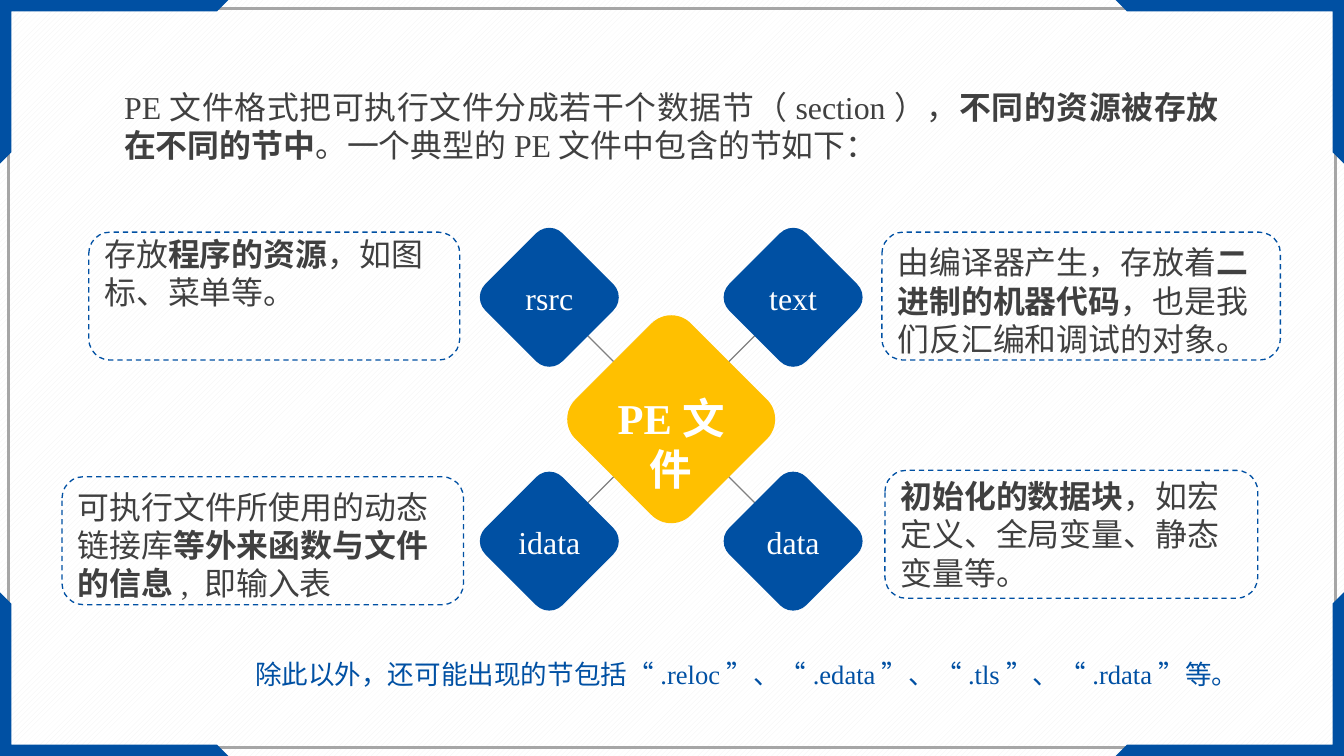
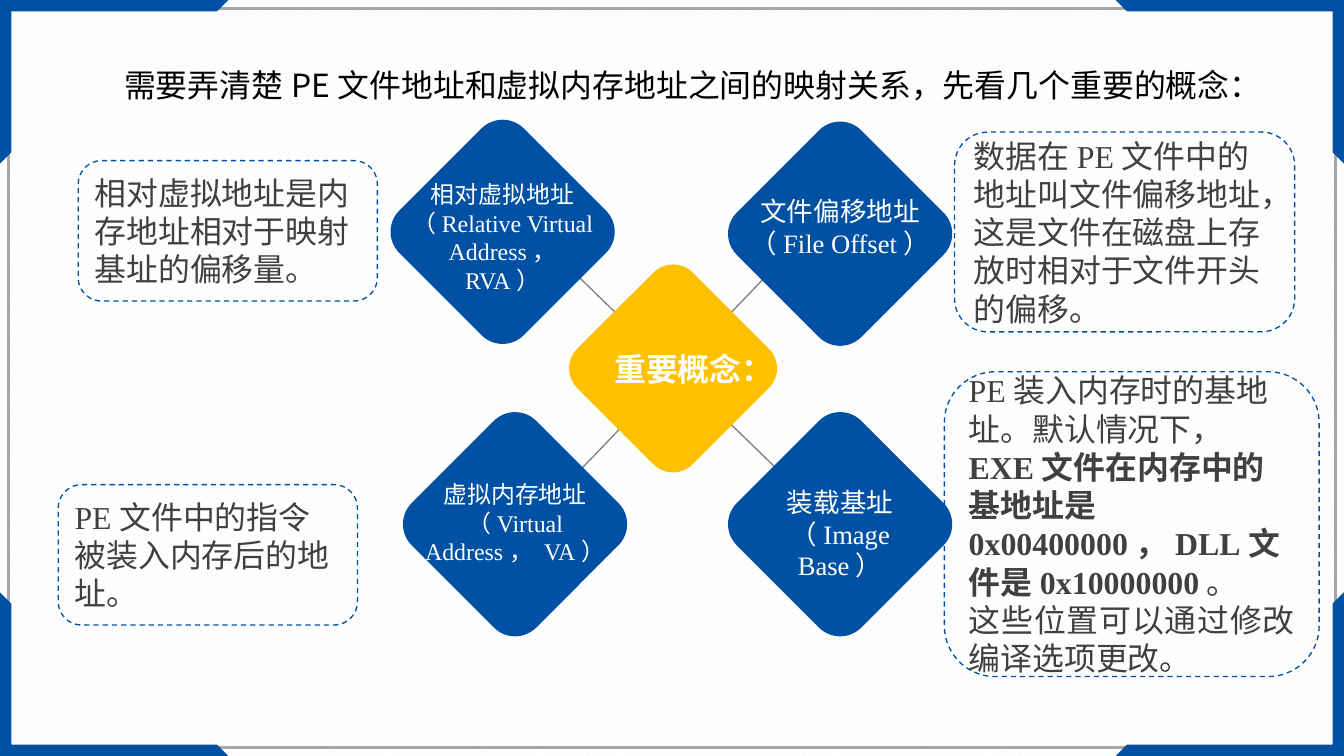
import pptx
import pptx.util
import pptx.dml.color
import pptx.enum.dml
import pptx.enum.lang
import pptx.enum.shapes
import pptx.enum.text
from lxml import etree
from pptx.oxml.ns import qn

Cm = pptx.util.Cm
SHAPE = pptx.enum.shapes.MSO_SHAPE
ALIGN = pptx.enum.text.PP_ALIGN
ANCHOR = pptx.enum.text.MSO_ANCHOR

WIDTH, HEIGHT = 35.72, 20.09
BLUE, GOLD, WHITE, BLACK = "0050A3", "FFC000", "FFFFFF", "000000"
TEXT_GREY, FRAME_GREY, SPOKE_GREY, STRIPE_GREY = "404040", "A6A6A6", "808080", "F2F2F2"
SERIF, CJK = "Times New Roman", "Noto Sans CJK SC"


def color(value):
    return pptx.dml.color.RGBColor.from_string(value)


def style_shape(shape, fill=None, line=None, width=1, dashed=False):
    shape.shadow.inherit = False
    if fill:
        shape.fill.solid()
        shape.fill.fore_color.rgb = color(fill)
    else:
        shape.fill.background()
    if line:
        shape.line.color.rgb = color(line)
        shape.line.width = pptx.util.Pt(width)
        if dashed:
            shape.line.dash_style = pptx.enum.dml.MSO_LINE.DASH
    else:
        shape.line.fill.background()


def format_span(span, size, ink, font, bold):
    span.font.size = pptx.util.Pt(size)
    span.font.bold = bold
    span.font.color.rgb = color(ink)
    span.font.name = font
    span.font.language_id = pptx.enum.lang.MSO_LANGUAGE_ID.SIMPLIFIED_CHINESE
    east_asian = etree.SubElement(span.font._element, qn("a:ea"))
    east_asian.set("typeface", CJK)


def write(para, text, size, ink, font=SERIF, align=ALIGN.LEFT, bold=False, accent_font=None):
    para.alignment = align
    for index, piece in enumerate(text.split("**")):
        if not piece:
            continue
        accented = index % 2 == 1
        span = para.add_run()
        span.text = piece
        if accented and accent_font:
            format_span(span, size, ink, accent_font, bold)
        else:
            format_span(span, size, ink, font, bold or accented)


def add_text(page, left, top, width, height, text, size, ink, **options):
    box = page.shapes.add_textbox(Cm(left), Cm(top), Cm(width), Cm(height))
    box.text_frame.word_wrap = True
    box.text_frame.auto_size = pptx.enum.text.MSO_AUTO_SIZE.SHAPE_TO_FIT_TEXT
    para = box.text_frame.paragraphs[0]
    write(para, text, size, ink, **options)
    return para


def add_label(page, center_x, top, width, text, size, bold=False):
    add_text(page, center_x - width / 2, top, width, 1.27, text, size, WHITE,
             align=ALIGN.CENTER, bold=bold)


def add_diamond(page, center_x, center_y, side, fill):
    diamond = page.shapes.add_shape(
        SHAPE.ROUNDED_RECTANGLE, Cm(center_x - side / 2), Cm(center_y - side / 2),
        Cm(side), Cm(side))
    diamond.adjustments[0] = 0.17
    diamond.rotation = 315
    style_shape(diamond, fill=fill)


def add_spoke(page, x1, y1, x2, y2):
    spoke = page.shapes.add_connector(
        pptx.enum.shapes.MSO_CONNECTOR.STRAIGHT, Cm(x1), Cm(y1), Cm(x2), Cm(y2))
    spoke.line.color.rgb = color(SPOKE_GREY)
    spoke.line.width = pptx.util.Pt(1)
    etree.SubElement(spoke._element.spPr, qn("a:effectLst"))


def add_card(page, left, top, width, height, texts, anchor=ANCHOR.MIDDLE, bottom=0.13):
    card = page.shapes.add_shape(
        SHAPE.ROUNDED_RECTANGLE, Cm(left), Cm(top), Cm(width), Cm(height))
    style_shape(card, line=BLUE, dashed=True)
    frame = card.text_frame
    frame.word_wrap = True
    frame.vertical_anchor = anchor
    frame.margin_bottom = Cm(bottom)
    for index, text in enumerate(texts):
        para = frame.add_paragraph() if index else frame.paragraphs[0]
        write(para, text, 24, TEXT_GREY, align=ALIGN.JUSTIFY if index else ALIGN.LEFT)


def add_corner(page, right, bottom):
    outline = [(0, 0), (6.07, 0), (5.77, 0.3), (0.3, 0.3), (0.3, 4.05), (0, 4.35)]
    points = [(Cm(WIDTH - x if right else x), Cm(HEIGHT - y if bottom else y))
              for x, y in outline]
    builder = page.shapes.build_freeform(*points[0], scale=1.0)
    builder.add_line_segments(points[1:], close=True)
    style_shape(builder.convert_to_shape(), fill=BLUE)


def add_page(deck):
    page = deck.slides.add_slide(deck.slide_layouts[6])
    margin = 0.23
    frame = page.shapes.add_shape(
        SHAPE.RECTANGLE, Cm(margin), Cm(margin),
        Cm(WIDTH - 2 * margin), Cm(HEIGHT - 2 * margin))
    style_shape(frame, line=FRAME_GREY, width=2)
    for right in (False, True):
        for bottom in (False, True):
            add_corner(page, right, bottom)
    return page


def set_background(deck):
    fill = deck.slide_master.background.fill
    fill.patterned()
    fill.pattern = pptx.enum.dml.MSO_PATTERN.WIDE_UPWARD_DIAGONAL
    fill.fore_color.rgb = color(STRIPE_GREY)
    fill.back_color.rgb = color(WHITE)


def build_sections(deck):
    page = add_page(deck)
    add_text(page, 3.05, 2.21, 29.59, 2.29,
             "PE文件格式把可执行文件分成若干个数据节（section），**不同的资源被存放在不同的节中**"
             "。一个典型的PE文件中包含的节如下：", 24, TEXT_GREY, align=ALIGN.JUSTIFY)
    hub_x, hub_y, reach = 17.84, 11.14, 3.24
    sections = [("rsrc", -1, -1), ("text", 1, -1), ("data", 1, 1), ("idata", -1, 1)]
    for name, across, down in sections:
        add_spoke(page, hub_x + 1.2 * across, hub_y + 1.2 * down,
                  hub_x + 2.43 * across, hub_y + 2.43 * down)
    for name, across, down in sections:
        center_x, center_y = hub_x + reach * across, hub_y + reach * down
        add_diamond(page, center_x, center_y, 2.9, BLUE)
        add_label(page, center_x, center_y - 0.62, 3.5, name, 24)
    add_diamond(page, hub_x, hub_y, 4.34, GOLD)
    add_label(page, hub_x, 10.29, 4.19, "PE文件", 32, bold=True)
    add_card(page, 23.44, 6.17, 10.59, 3.4,
             ["由编译器产生，存放着**二进制的机器代码**，也是我们反汇编和调试的对象。"], ANCHOR.TOP)
    add_card(page, 23.52, 12.5, 9.91, 3.4,
             ["**初始化的数据块**，如宏定义、全局变量、静态变量等。"])
    add_card(page, 1.65, 12.67, 10.67, 3.4,
             ["可执行文件所使用的动态链接库**等外来函数与文件的信息**, 即输入表"], ANCHOR.TOP)
    add_card(page, 2.36, 6.17, 9.86, 3.4,
             ["存放**程序的资源**，如图标、菜单等。"], ANCHOR.BOTTOM, 1.14)
    add_text(page, 6.53, 17.35, 27.53, 1.12,
             "除此以外，还可能出现的节包括“.reloc**”**、“.edata**”**、“.tls**”**、“.rdata**”**等。",
             20, BLUE, accent_font=CJK)


def build_addresses(deck):
    page = add_page(deck)
    hub_x, hub_y = 17.89, 9.79
    add_spoke(page, 20.96, 6.71, 14.81, 13.13)
    add_spoke(page, 21.34, 13.13, 14.71, 6.71)
    add_diamond(page, hub_x, hub_y, 4.34, GOLD)
    add_label(page, 18.02, 9.17, 4.19, "重要概念：", 24, bold=True)
    concepts = [
        (13.36, 6.16, 4.65, 18, "相对虚拟地址（Relative Virtual Address， RVA）"),
        (13.69, 13.93, 12.62, 18, "虚拟内存地址（Virtual Address， VA）"),
        (22.33, 13.93, 12.78, 20, "装载基址（Image Base）"),
        (22.33, 6.21, 5.05, 20, "文件偏移地址（File Offset）"),
    ]
    for center_x, center_y, label_top, size, name in concepts:
        add_diamond(page, center_x, center_y, 4.68, BLUE)
        add_label(page, center_x, label_top, 5.41, name, size)
    add_card(page, 25.37, 3.51, 9.04, 5.31,
             ["数据在PE文件中的地址叫文件偏移地址，这是文件在磁盘上存放时相对于文件开头的偏移。"])
    add_card(page, 25.1, 9.88, 9.96, 8.1,
             ["PE装入内存时的基地址。默认情况下，"
              "**EXE文件在内存中的基地址是0x00400000，DLL文件是0x10000000**。",
              "这些位置可以通过修改编译选项更改。"])
    add_card(page, 1.55, 12.88, 7.95, 3.73, ["PE文件中的指令被装入内存后的地址。"])
    add_card(page, 2.08, 4.27, 7.95, 3.73, ["相对虚拟地址是内存地址相对于映射基址的偏移量。"])
    heading = add_text(page, 3.05, 1.12, 30.81, 1.8,
                       "需要弄清楚PE文件地址和虚拟内存地址之间的映射关系，先看几个重要的概念：",
                       24, BLACK, font=CJK)
    heading.line_spacing = 1.5


def main():
    deck = pptx.Presentation()
    deck.slide_width, deck.slide_height = Cm(WIDTH), Cm(HEIGHT)
    set_background(deck)
    build_sections(deck)
    build_addresses(deck)
    deck.save("out.pptx")


if __name__ == "__main__":
    main()
